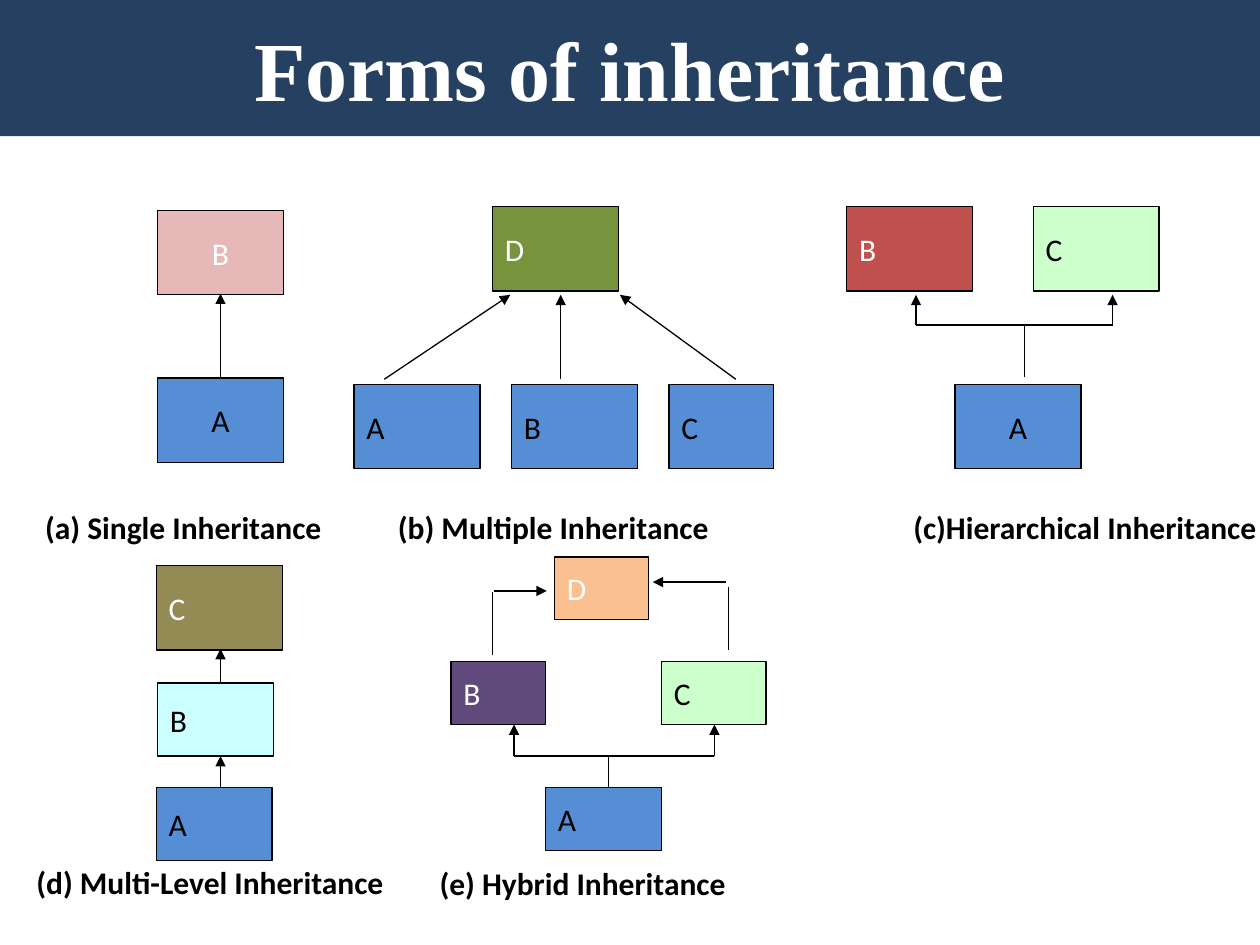
from lxml import etree
from pptx import Presentation
from pptx.dml.color import RGBColor
from pptx.enum.shapes import MSO_CONNECTOR as Connector, MSO_SHAPE as Shape
from pptx.enum.text import MSO_ANCHOR as Anchor, MSO_AUTO_SIZE as AutoSize, PP_ALIGN as Align
from pptx.oxml.ns import qn
from pptx.util import Inches, Pt

COLUMNS, ROWS = 10, 7.5  # grid of one-inch cells
BLACK, WHITE, BLUE, NAVY, MINT = "000000", "FFFFFF", "558ED5", "254061", "CCFFCC"


def color(value):
    return RGBColor.from_string(value)


def write(frame, text, size=18, ink=BLACK, bold=False, font="Calibri", align=Align.LEFT):
    para = frame.paragraphs[0]
    para.alignment = align
    span = para.add_run()
    span.text = text
    span.font.name, span.font.size, span.font.bold = font, Pt(size), bold
    span.font.color.rgb = color(ink)


class Page:
    line_width = Pt(0.75)

    def __init__(self, deck):
        self.shapes = deck.slides.add_slide(deck.slide_layouts[6]).shapes
        self.cell_width = deck.slide_width / COLUMNS
        self.cell_height = deck.slide_height / ROWS

    def place(self, column, row):
        return round(column * self.cell_width), round(row * self.cell_height)

    def rectangle(self, left, top, width, height, fill):
        box = self.shapes.add_shape(Shape.RECTANGLE, *self.place(left, top), *self.place(width, height))
        box.shadow.inherit = False
        box.fill.solid()
        box.fill.fore_color.rgb = color(fill)
        box.text_frame.vertical_anchor = Anchor.MIDDLE
        return box

    def banner(self, text, height):
        box = self.rectangle(0, 0, COLUMNS, height, NAVY)
        box.line.fill.background()
        box.text_frame.word_wrap = True
        write(box.text_frame, text, size=48, ink=WHITE, bold=True,
              font="Times New Roman", align=Align.CENTER)

    def node(self, name, left, top, width=1, height=0.67, fill=BLUE, ink=BLACK, align=Align.LEFT):
        box = self.rectangle(left, top, width, height, fill)
        box.line.color.rgb = color(BLACK)
        box.line.width = self.line_width
        box.text_frame.word_wrap = False
        write(box.text_frame, name, ink=ink, align=align)

    def caption(self, text, left, top, width):
        box = self.shapes.add_textbox(*self.place(left, top), *self.place(width, 0.4))
        box.text_frame.word_wrap = False
        box.text_frame.auto_size = AutoSize.SHAPE_TO_FIT_TEXT
        write(box.text_frame, text, bold=True)

    def line(self, start, end, arrow=False):
        link = self.shapes.add_connector(Connector.STRAIGHT, *self.place(*start), *self.place(*end))
        link.line.color.rgb = color(BLACK)
        link.line.width = self.line_width
        if arrow:
            etree.SubElement(link.line._get_or_add_ln(), qn("a:tailEnd"), type="triangle")
        etree.SubElement(link._element.spPr, qn("a:effectLst"))

    def arrow(self, start, end):
        self.line(start, end, arrow=True)

    def fork(self, stem, bottom, bar, left, right, top):
        """A stem that splits at a bar into two upward arrows."""
        self.line((stem, bottom), (stem, bar))
        self.line((left, bar), (right, bar))
        for column in (left, right):
            self.arrow((column, bar), (column, top))


def build():
    deck = Presentation()
    deck.slide_width, deck.slide_height = Inches(COLUMNS), Inches(ROWS)
    page = Page(deck)
    page.banner("Forms of inheritance", 1.08)

    # Single inheritance
    page.node("B", 1.25, 1.67, fill="E6B9B8", ink=WHITE, align=Align.CENTER)
    page.node("A", 1.25, 3, align=Align.CENTER)
    page.arrow((1.75, 3), (1.75, 2.33))

    # Multiple inheritance
    page.node("D", 3.91, 1.64, fill="77933C", ink=WHITE)
    for name, left, width in (("A", 2.81, 1), ("B", 4.06, 1), ("C", 5.31, 0.83)):
        page.node(name, left, 3.05, width)
    for start, end in ((3.05, 4.05), (4.45, 4.45), (5.84, 4.92)):
        page.arrow((start, 3.01), (end, 2.34))

    # Hierarchical inheritance
    page.node("B", 6.72, 1.64, fill="C0504D", ink=WHITE)
    page.node("C", 8.2, 1.64, fill=MINT)
    page.node("A", 7.58, 3.05, align=Align.CENTER)
    page.fork(stem=8.13, bottom=2.99, bar=2.58, left=7.27, right=8.83, top=2.34)

    # Multi-level inheritance
    page.node("C", 1.24, 4.49, fill="948A54", ink=WHITE)
    page.node("B", 1.25, 5.42, 0.92, 0.58, fill="CCFFFF")
    page.node("A", 1.24, 6.25, 0.92, 0.58)
    page.arrow((1.75, 5.42), (1.75, 5.15))
    page.arrow((1.75, 6.25), (1.75, 6))

    # Hybrid inheritance
    page.node("D", 4.4, 4.42, 0.75, 0.5, fill="FAC090", ink=WHITE)
    page.node("B", 3.58, 5.25, 0.75, 0.5, fill="604A7B", ink=WHITE)
    page.node("C", 5.25, 5.25, 0.83, 0.5, fill=MINT)
    page.node("A", 4.33, 6.25, 0.92, 0.5)
    page.fork(stem=4.83, bottom=6.25, bar=6, left=4.08, right=5.67, top=5.75)
    page.line((3.91, 5.2), (3.91, 4.7))
    page.arrow((3.92, 4.69), (4.34, 4.69))
    page.line((5.78, 5.16), (5.78, 4.66))
    page.arrow((5.76, 4.62), (5.18, 4.62))

    # Captions
    for text, left, top, width in (
        ("(a) Single Inheritance", 0.26, 3.98, 2.41),
        ("(b) Multiple Inheritance", 3.06, 3.98, 2.69),
        ("(c)Hierarchical Inheritance", 7.15, 3.98, 2.94),
        ("(d) Multi-Level Inheritance", 0.19, 6.8, 2.98),
        ("(e) Hybrid Inheritance", 3.39, 6.81, 2.49),
    ):
        page.caption(text, left, top, width)

    deck.save("out.pptx")


if __name__ == "__main__":
    build()
